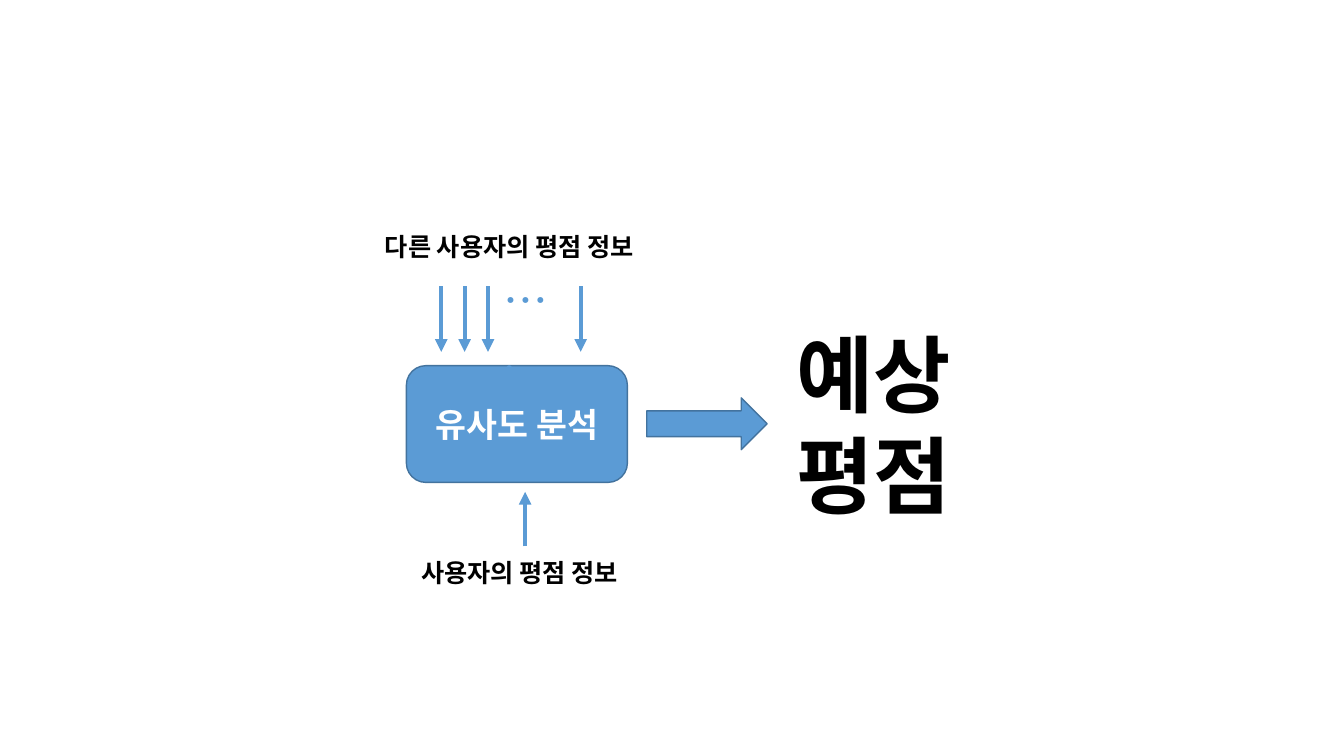
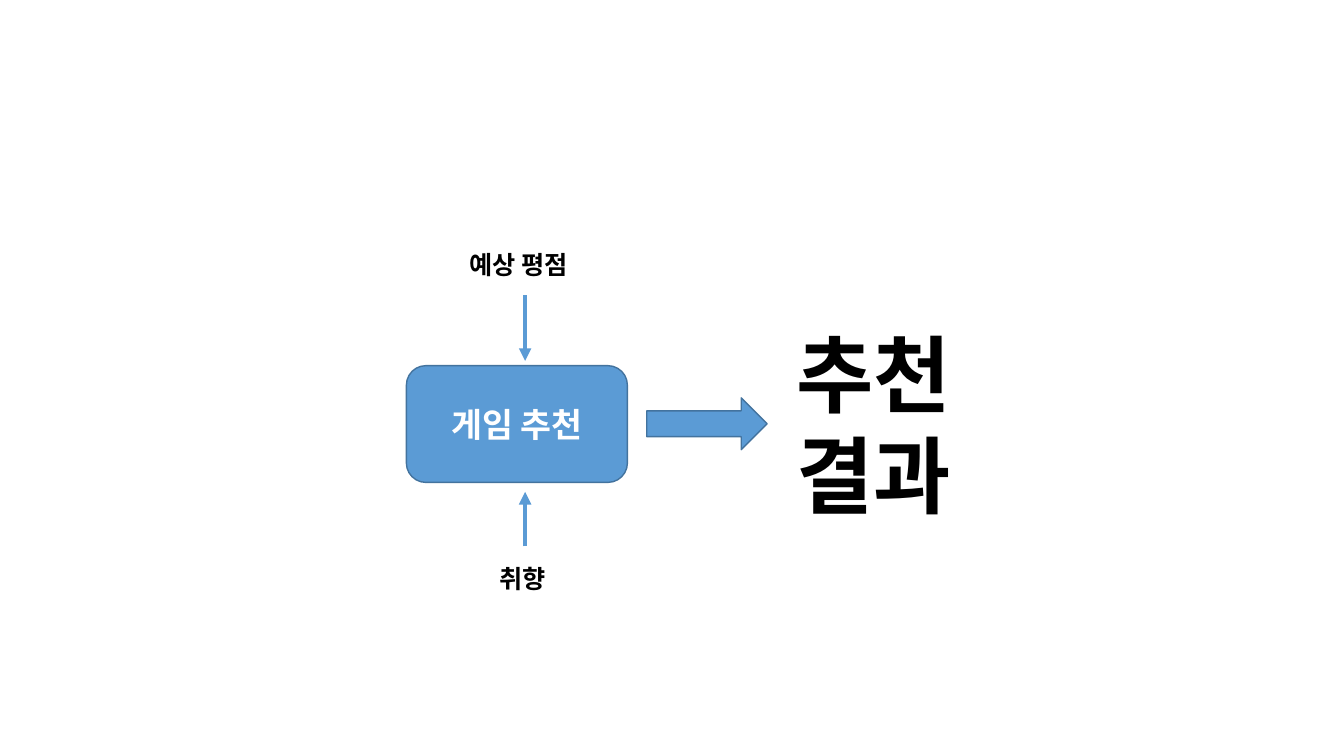
"""Build two flow slides: rating prediction and game recommendation."""
import pptx
import pptx.util
import pptx.dml.color
import pptx.enum.shapes
import pptx.enum.text
import pptx.oxml.ns
import lxml.etree

Pt = pptx.util.Pt
SHAPES = pptx.enum.shapes.MSO_SHAPE
FONT = "Noto Sans CJK KR"
COLORS = {"blue": "5B9BD5", "edge": "43739E", "black": "000000", "white": "FFFFFF"}

PROCESS_BOX = (290.3, 261.2, 157.9, 83.4)
RESULT_ARROW = (462, 284.2, 86, 37)
RESULT_BOX = (561.6, 226.8, 138.2, 152.6)
CENTER_X = 375.1
LOWER_ARROW = (390.2, 351.4)
ARROW_LENGTH = 46.8
LABEL_HEIGHT = 29

FLOWS = [
    {
        "process": "유사도 분석",
        "result": "예상 평점",
        "labels": [
            ("다른 사용자의 평점 정보", 267.8, 162, 215.3),
            ("사용자의 평점 정보", 293.8, 394.6, 179.3),
        ],
        "input_xs": [315.2, 331.9, 348.6, 414.8],
        "input_top": 204.5,
        "ellipsis": ("….", (352.8, 191.5, 45.4, 46.1)),
    },
    {
        "process": "게임 추천",
        "result": "추천 결과",
        "labels": [
            ("예상 평점", 328.3, 174.2, 93.6),
            ("취향", 349.9, 398.9, 51.1),
        ],
        "input_xs": [CENTER_X],
        "input_top": 211,
        "ellipsis": None,
    },
]


def rgb(name):
    return pptx.dml.color.RGBColor.from_string(COLORS[name])


def write(shape, text, size, color, bold=True):
    para = shape.text_frame.paragraphs[0]
    span = para.add_run()
    span.text = text
    font = para.font
    font.size, font.bold, font.name = Pt(size), bold, FONT
    font.color.rgb = rgb(color)
    properties = para._p.get_or_add_pPr().find(pptx.oxml.ns.qn("a:defRPr"))
    east_asian = lxml.etree.SubElement(properties, pptx.oxml.ns.qn("a:ea"))
    east_asian.set("typeface", FONT)
    return para


def add_text(page, place, text, size, color="black", bold=True, wrap=False):
    box = page.shapes.add_textbox(*map(Pt, place))
    box.text_frame.word_wrap = wrap
    write(box, text, size, color, bold)


def add_block(page, kind, place):
    block = page.shapes.add_shape(kind, *map(Pt, place))
    block.shadow.inherit = False
    block.fill.solid()
    block.fill.fore_color.rgb = rgb("blue")
    block.line.color.rgb = rgb("edge")
    block.line.width = Pt(1)
    return block


def add_arrow(page, x, start, end):
    arrow = page.shapes.add_connector(
        pptx.enum.shapes.MSO_CONNECTOR.STRAIGHT, Pt(x), Pt(start), Pt(x), Pt(end))
    arrow.line.color.rgb = rgb("blue")
    arrow.line.width = Pt(3)
    head = lxml.etree.SubElement(arrow.line._get_or_add_ln(), pptx.oxml.ns.qn("a:tailEnd"))
    head.set("type", "triangle")
    lxml.etree.SubElement(arrow._element.spPr, pptx.oxml.ns.qn("a:effectLst"))


def build_flow(page, flow):
    process = add_block(page, SHAPES.ROUNDED_RECTANGLE, PROCESS_BOX)
    process.text_frame.vertical_anchor = pptx.enum.text.MSO_ANCHOR.MIDDLE
    para = write(process, flow["process"], 24, "white")
    para.alignment = pptx.enum.text.PP_ALIGN.CENTER
    add_arrow(page, CENTER_X, *LOWER_ARROW)
    for x in flow["input_xs"]:
        add_arrow(page, x, flow["input_top"], flow["input_top"] + ARROW_LENGTH)
    if flow["ellipsis"]:
        dots, place = flow["ellipsis"]
        add_text(page, place, dots, 32, "blue", bold=False)
    for text, left, top, width in flow["labels"]:
        add_text(page, (left, top, width, LABEL_HEIGHT), text, 18)
    add_block(page, SHAPES.RIGHT_ARROW, RESULT_ARROW)
    add_text(page, RESULT_BOX, flow["result"], 60, wrap=True)


deck = pptx.Presentation()
deck.slide_width, deck.slide_height = Pt(960), Pt(540)
for flow in FLOWS:
    build_flow(deck.slides.add_slide(deck.slide_layouts[6]), flow)
deck.save("out.pptx")
